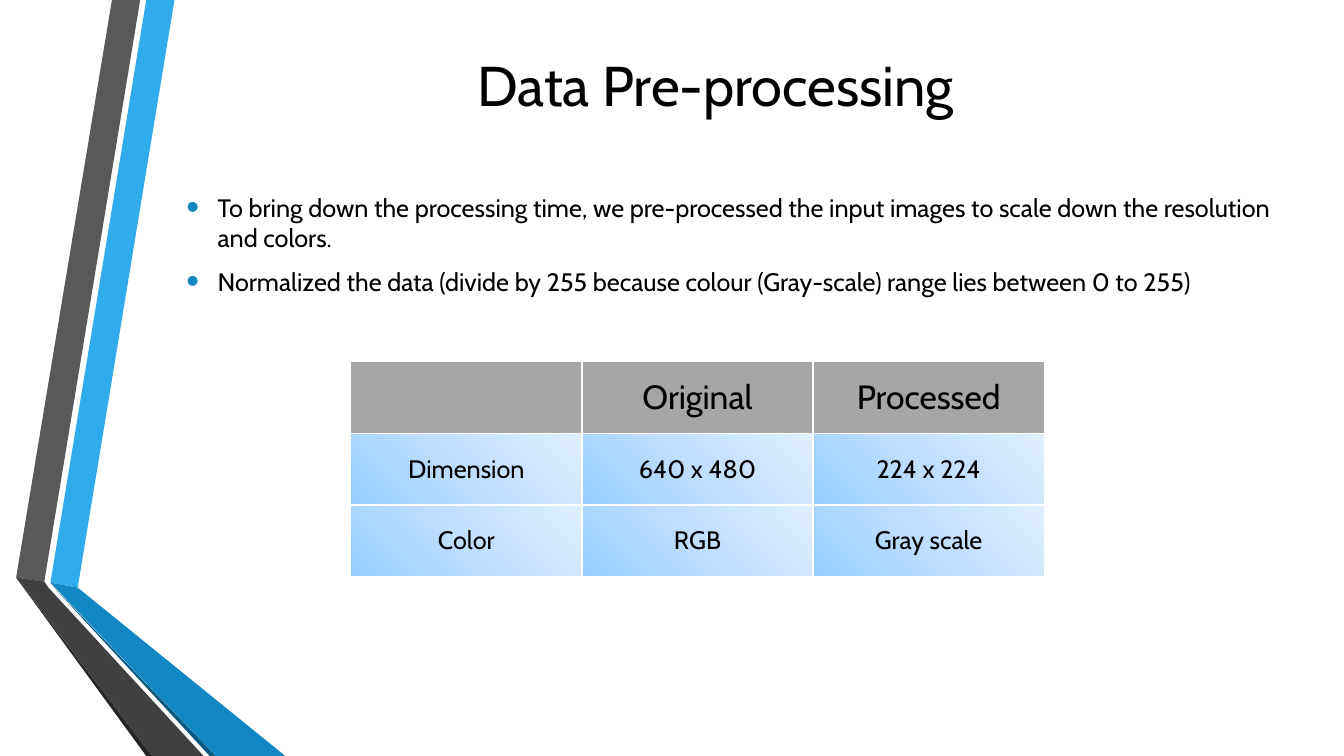
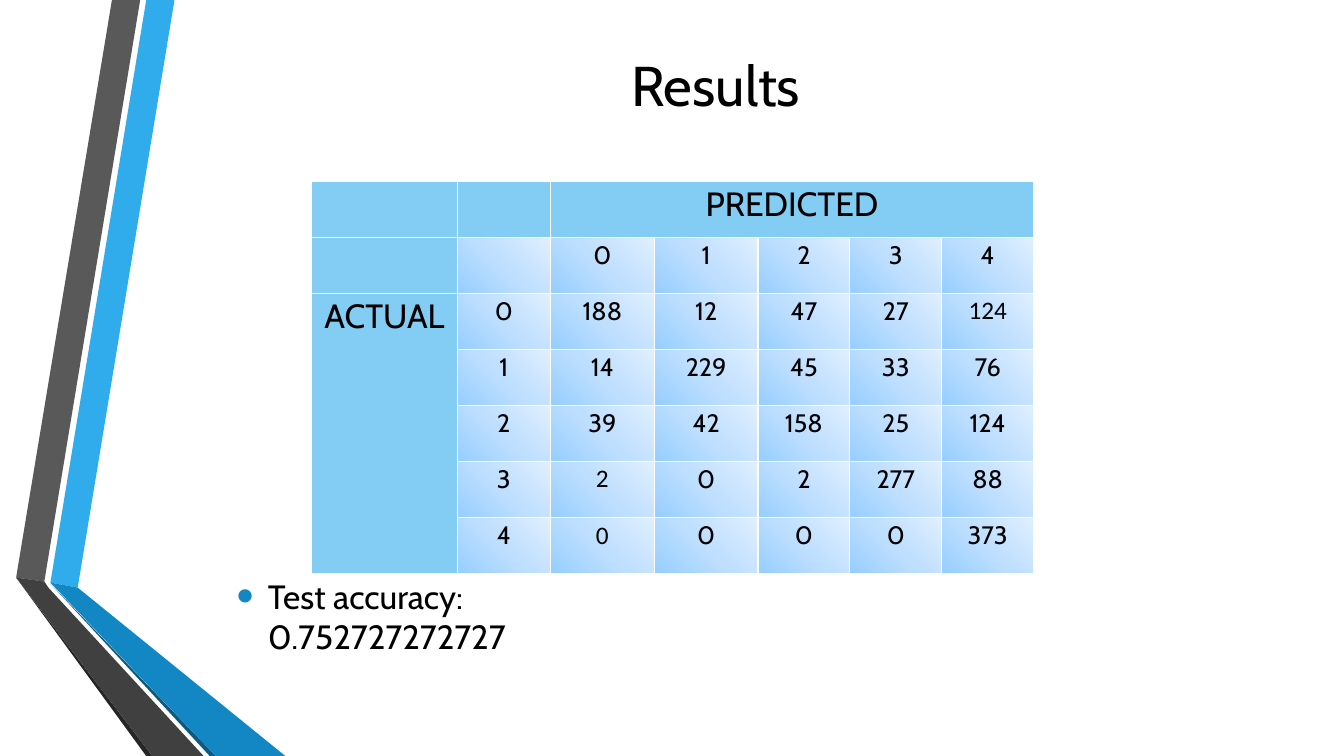
from dataclasses import dataclass

from lxml.etree import SubElement
from pptx import Presentation
from pptx.dml.color import RGBColor
from pptx.enum.text import MSO_ANCHOR, PP_ALIGN
from pptx.oxml.ns import qn
from pptx.util import Inches, Pt


@dataclass(frozen=True)
class Theme:
    font: str = "Cabin"
    number_font: str = "Calibri"
    title_size: int = 40
    large_size: int = 24
    body_size: int = 18
    ink: str = "000000"
    rule: str = "FFFFFF"
    bullet: str = "1287C3"
    gray_header: str = "A6A6A6"
    blue_header: str = "83CDF4"
    cell_gradient: tuple = ((0, "96CEFF"), (50, "BFDFFF"), (100, "DFEFFF"))
    bands: tuple = (
        ("30ACEC", ((3.75, 77.07), (5.78, 77.73), (12.98, 0), (10.88, 0))),
        ("595959", ((10.43, 0), (8.33, 0), (1.2, 76.4), (3.3, 76.93))),
        ("262626", ((1.2, 76.4), (10.88, 100), (11.33, 100))),
        ("0C5A82", ((3.75, 77.2), (15.6, 100), (16.05, 100))),
        ("1287C3", ((3.75, 77.07), (16.05, 100), (21.23, 100), (5.78, 77.73))),
        ("404040", ((1.2, 76.4), (11.33, 100), (15.15, 100), (3.6, 77.73),
                    (3.3, 76.93))),
    )


class SlideBuilder:
    def __init__(self, theme):
        self.theme = theme
        self.deck = Presentation()
        self.deck.slide_width = Inches(13.33)
        self.deck.slide_height = Inches(7.5)
        self.layout = self.deck.slide_layouts[6]
        self.page = None

    def across(self, percent):
        return round(self.deck.slide_width * percent / 100)

    def down(self, percent):
        return round(self.deck.slide_height * percent / 100)

    def area(self, left, top, width, height):
        return (self.across(left), self.down(top),
                self.across(width), self.down(height))

    def add_page(self, title):
        first = self.page is None
        self.page = self.deck.slides.add_slide(self.layout)
        if first:
            self.add_bands_to_layout()
        frame = self.add_box(12.15, 4.4, 82.2, 13.33)
        self.set_text(frame.paragraphs[0], title, self.theme.title_size,
                      PP_ALIGN.CENTER)

    def add_bands_to_layout(self):
        for color, corners in self.theme.bands:
            points = [(self.across(x), self.down(y)) for x, y in corners]
            builder = self.page.shapes.build_freeform(*points[0])
            builder.add_line_segments(points[1:], close=True)
            band = builder.convert_to_shape()
            band.shadow.inherit = False
            band.fill.solid()
            band.fill.fore_color.rgb = RGBColor.from_string(color)
            band.line.fill.background()
            self.layout.shapes.element.append(band.element)

    def add_box(self, left, top, width, height):
        box = self.page.shapes.add_textbox(*self.area(left, top, width, height))
        frame = box.text_frame
        frame.word_wrap = True
        frame.vertical_anchor = MSO_ANCHOR.MIDDLE
        return frame

    def set_text(self, para, text, size, align=PP_ALIGN.LEFT, font=None):
        para.text = text
        para.alignment = align
        para.font.name = font or self.theme.font
        para.font.size = Pt(size)
        para.font.color.rgb = RGBColor.from_string(self.theme.ink)

    def add_bullets(self, area, items, size):
        frame = self.add_box(*area)
        for index, item in enumerate(items):
            para = frame.add_paragraph() if index else frame.paragraphs[0]
            self.mark_bullet(para)
            self.set_text(para, item, size)
            para.space_before = Pt(size * 0.2)
            para.space_after = Pt(6)

    def mark_bullet(self, para):
        properties = para._p.get_or_add_pPr()
        properties.set("marL", str(Inches(0.31)))
        properties.set("indent", str(-Inches(0.31)))
        color = SubElement(properties, qn("a:buClr"))
        SubElement(color, qn("a:srgbClr"), val=self.theme.bullet)
        SubElement(properties, qn("a:buSzPct"), val="145000")
        SubElement(properties, qn("a:buFont"), typeface="Arial")
        SubElement(properties, qn("a:buChar"), char="•")

    def add_table(self, left, top, columns, row_height, rows, header_color,
                  header_columns=0, merges=(), number_cells=(), compact=False):
        area = self.area(left, top, sum(columns), row_height * len(rows))
        table = self.page.shapes.add_table(len(rows), len(columns), *area).table
        table.first_row = table.horz_banding = False
        for column, width in zip(table.columns, columns):
            column.width = self.across(width)
        for row_index, values in enumerate(rows):
            table.rows[row_index].height = self.down(row_height)
            for column_index, value in enumerate(values):
                cell = table.cell(row_index, column_index)
                header = row_index == 0 or column_index < header_columns
                self.style_cell(cell, header_color if header else None)
                size = self.theme.large_size if header else self.theme.body_size
                numeric = (row_index, column_index) in number_cells
                para = cell.text_frame.paragraphs[0]
                self.set_text(para, value, size, PP_ALIGN.CENTER,
                              self.theme.number_font if numeric else None)
                if compact:
                    para.line_spacing = 1.07
                    cell.margin_left = cell.margin_right = Inches(0.07)
                    cell.margin_top = cell.margin_bottom = 0
                else:
                    cell.vertical_anchor = MSO_ANCHOR.MIDDLE
        for start, end in merges:
            table.cell(*start).merge(table.cell(*end))

    def style_cell(self, cell, solid_color):
        properties = cell._tc.get_or_add_tcPr()
        for side in ("lnL", "lnR", "lnT", "lnB"):
            border = SubElement(properties, qn(f"a:{side}"), w=str(Pt(1)))
            paint = SubElement(border, qn("a:solidFill"))
            SubElement(paint, qn("a:srgbClr"), val=self.theme.rule)
        if solid_color:
            cell.fill.solid()
            cell.fill.fore_color.rgb = RGBColor.from_string(solid_color)
            return
        gradient = SubElement(properties, qn("a:gradFill"), rotWithShape="1")
        stops = SubElement(gradient, qn("a:gsLst"))
        for position, color in self.theme.cell_gradient:
            stop = SubElement(stops, qn("a:gs"), pos=str(position * 1000))
            SubElement(stop, qn("a:srgbClr"), val=color)
        SubElement(gradient, qn("a:lin"), ang=str(315 * 60000), scaled="0")

    def save(self):
        self.deck.save("out.pptx")


def add_preprocessing(builder):
    theme = builder.theme
    builder.add_page("Data Pre-processing")
    builder.add_bullets((13.13, 25.47, 82.2, 13.6), (
        "To bring down the processing time, we pre-processed the input images "
        "to scale down the resolution and colors.",
        "Normalized the data (divide by 255 because colour (Gray-scale) range "
        "lies between 0 to 255)",
    ), theme.body_size)
    rows = (
        ("", "Original", "Processed"),
        ("Dimension", "640 x 480", "224 x 224"),
        ("Color", "RGB", "Gray scale"),
    )
    builder.add_table(26.1, 47.8, [17.2] * 3, 9.5, rows, theme.gray_header)


def add_results(builder):
    theme = builder.theme
    builder.add_page("Results")
    builder.add_bullets((16.88, 75.2, 35.5, 12.53),
                        ("Test accuracy: 0.752727272727",), theme.large_size)
    confusion = (
        (188, 12, 47, 27, 124),
        (14, 229, 45, 33, 76),
        (39, 42, 158, 25, 124),
        (2, 0, 2, 277, 88),
        (0, 0, 0, 0, 373),
    )
    rows = [
        ("", "", "PREDICTED", "", "", "", ""),
        ("", "", *map(str, range(5))),
    ]
    for actual, counts in enumerate(confusion):
        label = "" if actual else "ACTUAL"
        rows.append((label, str(actual), *map(str, counts)))
    columns = [10.85, 6.92, 7.75, 7.7, 6.84, 6.84, 6.84]
    builder.add_table(23.18, 24, columns, 7.42, rows, theme.blue_header,
                      header_columns=1, compact=True,
                      merges=(((0, 2), (0, 6)), ((2, 0), (6, 0))),
                      number_cells=((2, 6), (5, 2), (6, 2)))


def main():
    builder = SlideBuilder(Theme())
    add_preprocessing(builder)
    add_results(builder)
    builder.save()


if __name__ == "__main__":
    main()
